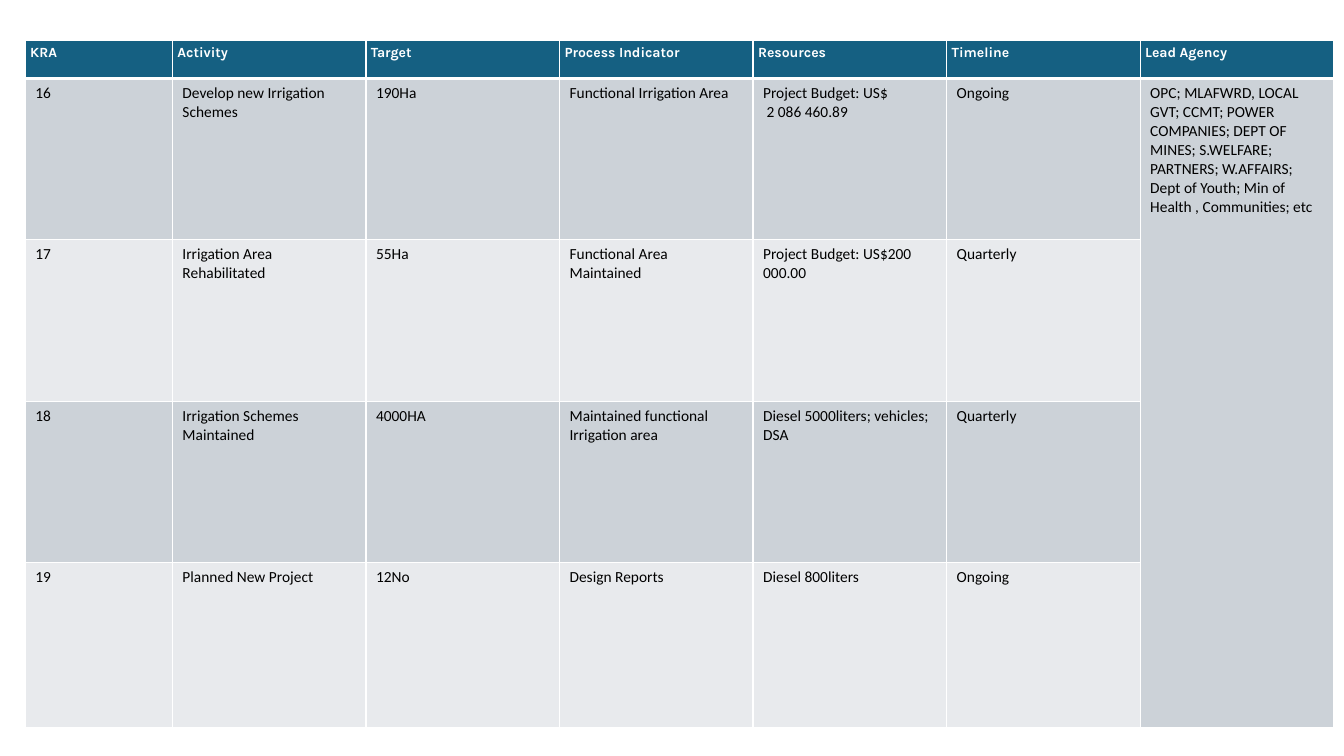
from lxml import etree
from pptx import Presentation
from pptx.dml.color import RGBColor
from pptx.oxml.ns import qn
from pptx.util import Inches, Pt

WHITE = RGBColor(0xFF, 0xFF, 0xFF)
BLACK = RGBColor(0, 0, 0)
TEAL = RGBColor(0x15, 0x60, 0x82)
BANDS = [RGBColor(0xCC, 0xD2, 0xD8), RGBColor(0xE8, 0xEA, 0xED)]

WIDTHS = [1.46] + [1.92] * 6
HEIGHTS = [0.38, 1.6, 1.6, 1.6, 1.64]
HEADS = ["KRA", "Activity", "Target", "Process Indicator", "Resources",
         "Timeline", "Lead Agency"]
# A line break within a cell starts a new paragraph
LEAD = ("OPC; MLAFWRD, LOCAL GVT; CCMT; POWER COMPANIES; DEPT OF MINES; "
        "S.WELFARE; PARTNERS; W.AFFAIRS;\n"
        "Dept of Youth; Min of Health , Communities; etc")
ROWS = [
    ["16", "Develop new Irrigation Schemes", "190Ha",
     "Functional Irrigation Area", "Project Budget: US$\n 2 086 460.89",
     "Ongoing", LEAD],
    ["17", "Irrigation Area Rehabilitated", "55Ha",
     "Functional Area Maintained", "Project Budget: US$200 000.00",
     "Quarterly", ""],
    ["18", "Irrigation Schemes Maintained", "4000HA",
     "Maintained functional Irrigation area",
     "Diesel 5000liters; vehicles; DSA", "Quarterly", ""],
    ["19", "Planned New Project", "12No", "Design Reports",
     "Diesel 800liters", "Ongoing", ""],
]


def edge(cell, top, base):
    """White borders; the rule under the header is heavier."""
    props = cell._tc.get_or_add_tcPr()
    for side, size in zip("LRTB", (1, 1, top, base)):
        line = etree.SubElement(props, qn(f"a:ln{side}"), w=str(Pt(size)))
        fill = etree.SubElement(line, qn("a:solidFill"))
        etree.SubElement(fill, qn("a:srgbClr"), val=str(WHITE))


def write(cell, words, head):
    for i, line in enumerate(words.split("\n")):
        frame = cell.text_frame
        para = frame.paragraphs[0] if i == 0 else frame.add_paragraph()
        if head:
            para.line_spacing = 1.07
            para.space_after = Pt(8)
        run = para.add_run()
        run.text = line
        font = run.font
        font.name = "Karla" if head else "Calibri"
        font.size = Pt(10 if head else 11)
        font.bold = head
        font.color.rgb = WHITE if head else BLACK


def plan(slide, left, top, width, height):
    """Activity plan table."""
    grid = slide.shapes.add_table(
        len(HEIGHTS), len(WIDTHS), Inches(left), Inches(top),
        Inches(width), Inches(height)).table
    for col, size in zip(grid.columns, WIDTHS):
        col.width = Inches(size)
    for row, size in zip(grid.rows, HEIGHTS):
        row.height = Inches(size)

    # Cells, header first
    for r, row in enumerate([HEADS] + ROWS):
        head = r == 0
        for c, words in enumerate(row):
            cell = grid.cell(r, c)
            edge(cell, 3 if r == 1 else 1, 3 if head else 1)
            cell.fill.solid()
            last = c == len(row) - 1
            band = BANDS[0] if last else BANDS[(r - 1) % 2]
            cell.fill.fore_color.rgb = TEAL if head else band
            if head:
                cell.margin_left = cell.margin_right = Inches(0.05)
                cell.margin_top = cell.margin_bottom = Inches(0.03)
            if words:
                write(cell, words, head)

    # One lead agency cell for all rows
    end = len(WIDTHS) - 1
    grid.cell(1, end).merge(grid.cell(len(ROWS), end))


def main():
    deck = Presentation()
    deck.slide_width = Inches(13.33)
    deck.slide_height = Inches(7.5)
    slide = deck.slides.add_slide(deck.slide_layouts[6])
    plan(slide, 0.25, 0.4, sum(WIDTHS), sum(HEIGHTS))
    deck.save("out.pptx")


if __name__ == "__main__":
    main()
